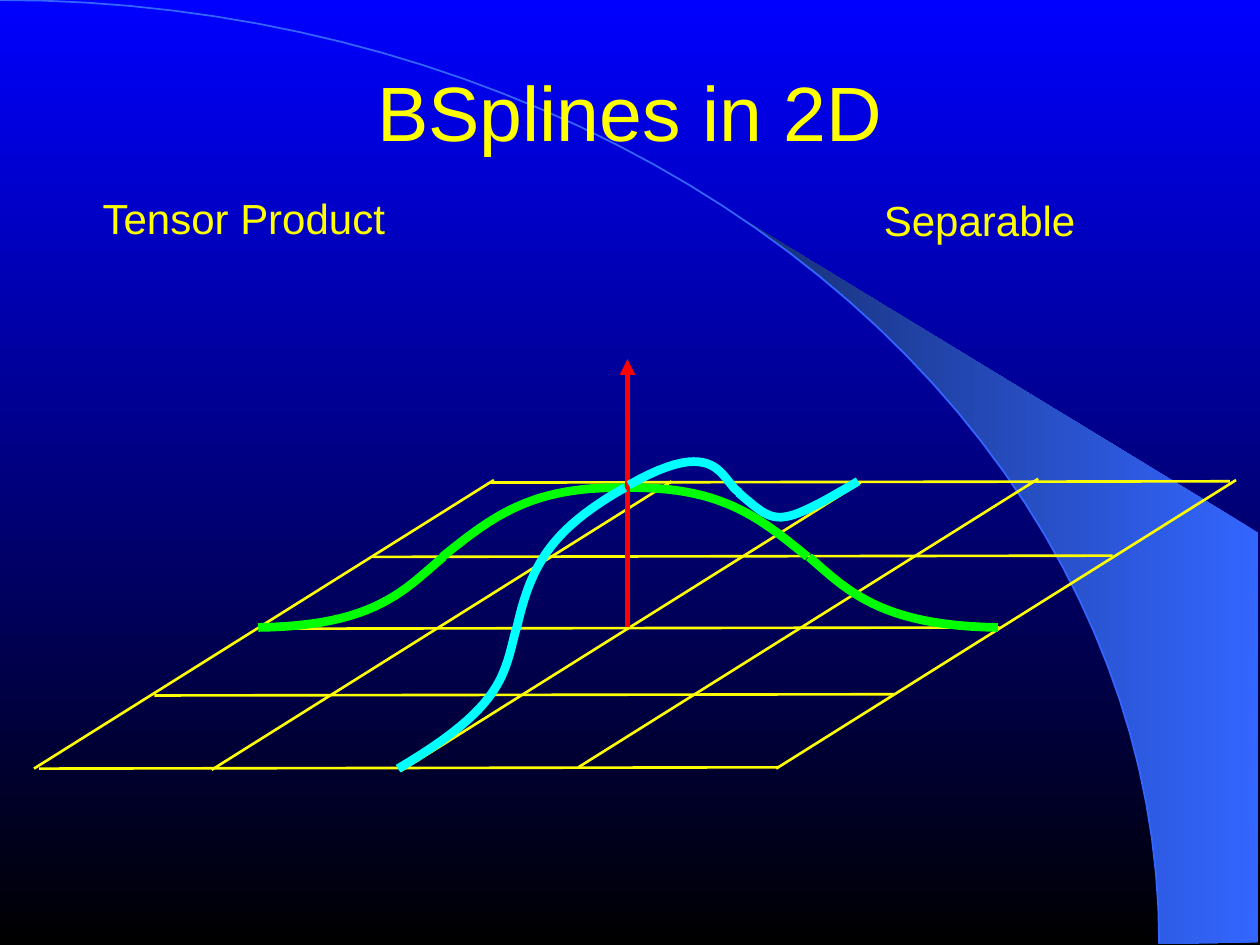
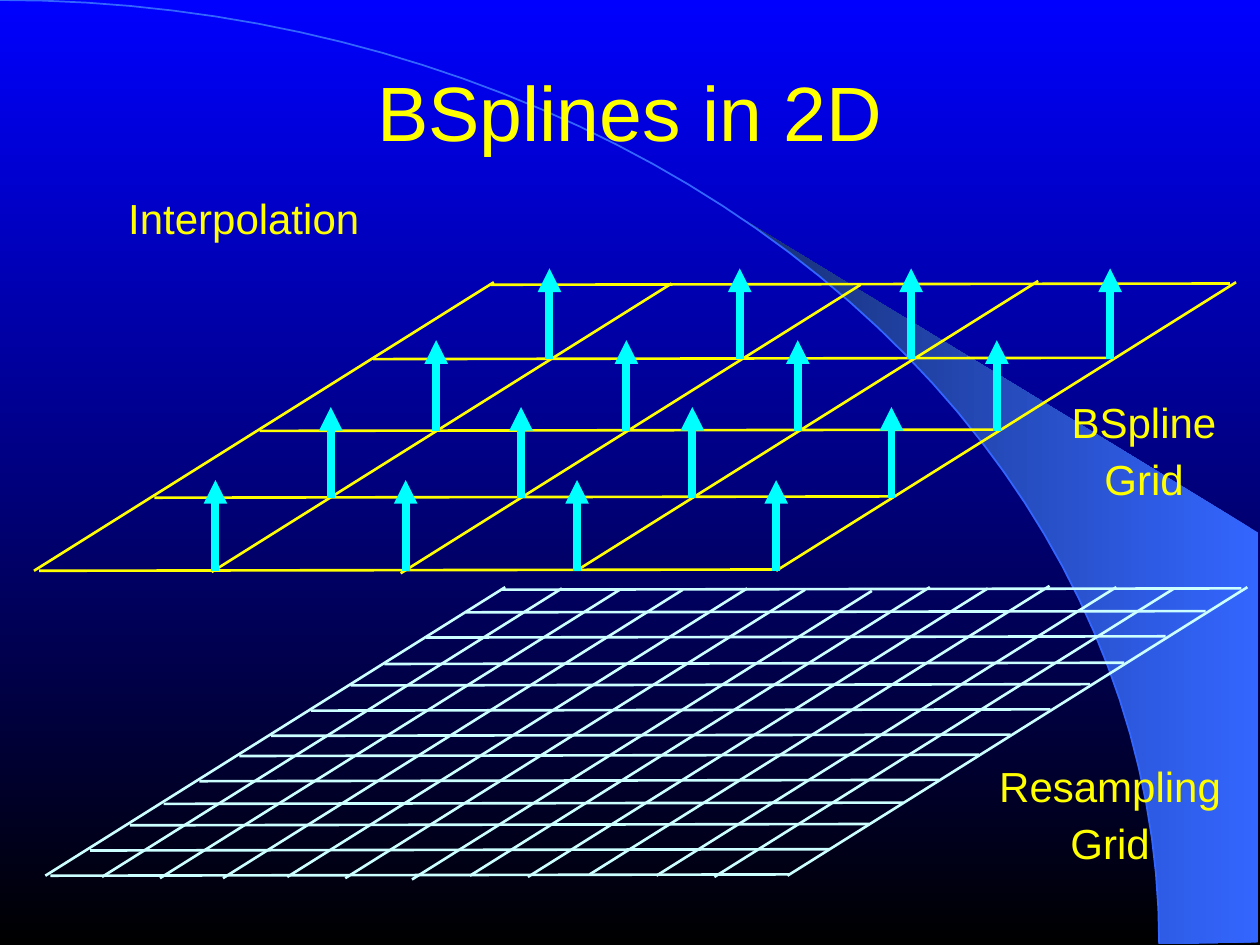
from math import asin, cos, pi, sin

from lxml import etree
from pptx import Presentation
from pptx.dml.color import RGBColor
from pptx.enum import shapes, text
from pptx.oxml import ns
from pptx.util import Inches, Pt

FONT = "Arial"
YELLOW, CYAN, GREEN, RED = "FFFF00", "00FFFF", "00FF00", "FF0000"
PALE, SKY, NAVY = "CCFFFF", "3366FF", "172F75"

ARC_WIDTH, ARC_HEIGHT = 9.2, 7.49
GRID_WIDTH, GRID_DEPTH, GRID_RISE = 5.87, 3.65, 2.29
SLANT = GRID_DEPTH / GRID_RISE * 0.99

SPLINE_ROWS = [0, 0.58, 1.11, 1.68, 2.27]
SPLINE_COLUMNS = [(0, 0), (1.41, 0.01), (2.91, 0.02), (4.32, -0.01), (5.89, 0)]
RESAMPLING_ROWS = [0, 0.2, 0.4, 0.57, 0.75, 0.95, 1.11, 1.31, 1.51, 1.68,
                   1.89, 2.09, 2.27]
RESAMPLING_COLUMNS = [(0, 0), (0.45, 0.01), (0.91, 0.02), (1.41, 0.02),
                      (1.92, 0.01), (2.38, 0.02), (2.91, 0.03), (3.37, 0),
                      (3.83, 0.01), (4.32, -0.01), (4.85, 0), (5.31, 0.01),
                      (5.89, 0)]
COEFFICIENT_COLUMNS = [1.71, 3.22, 4.58, 6.16]
COEFFICIENT_HEIGHT = 0.72

ACROSS_SPLINE = [
    [(3.52, 4.42), (3.22, 4.67), (2.99, 4.97), (2.05, 4.98)],
    [(3.51, 4.42), (3.92, 4.09), (4.22, 3.86), (4.96, 3.87)],
    [(6.42, 4.42), (6.71, 4.67), (6.98, 4.97), (7.92, 4.98)],
    [(6.41, 4.42), (6.01, 4.09), (5.71, 3.86), (4.97, 3.87)],
]
DEPTH_SPLINE = [
    [(4.1, 4.98), (4, 5.35), (4.01, 5.6), (3.16, 6.1)],
    [(4.1, 4.99), (4.21, 4.5), (4.36, 4.21), (4.96, 3.87)],
    [(5.86, 3.91), (6.16, 4.16), (6.15, 4.21), (6.81, 3.82)],
    [(5.87, 3.91), (5.72, 3.82), (5.71, 3.44), (4.99, 3.85)],
]


def rgb(value):
    return RGBColor.from_string(value)


def set_gradient(fill, first, last, angle):
    fill.gradient()
    fill.gradient_angle = angle
    for stop, color in zip(fill.gradient_stops, (first, last)):
        stop.color.rgb = rgb(color)


def add_outline(parent, points, closed=False):
    (x, y), *rest = [(Inches(px), Inches(py)) for px, py in points]
    builder = parent.build_freeform(x, y)
    builder.add_line_segments(rest, close=closed)
    outline = builder.convert_to_shape()
    outline.shadow.inherit = False
    return outline


def add_curve(parent, points, color, width):
    curve = add_outline(parent, points)
    curve.fill.background()
    curve.line.color.rgb = rgb(color)
    curve.line.width = Pt(width)


def add_line(parent, start, end, color, width, arrow=False):
    line = parent.add_connector(shapes.MSO_CONNECTOR.STRAIGHT,
                                *map(Inches, (*start, *end)))
    line.line.color.rgb = rgb(color)
    line.line.width = Pt(width)
    properties = line.element.spPr
    if arrow:
        outline = properties.find(ns.qn("a:ln"))
        etree.SubElement(outline, ns.qn("a:headEnd"), type="triangle")
    etree.SubElement(properties, ns.qn("a:effectLst"))


def arc_points(start, end, steps):
    angles = [start + (end - start) * i / steps for i in range(steps + 1)]
    return [(ARC_WIDTH * sin(a), ARC_HEIGHT * (1 - cos(a))) for a in angles]


def bezier_points(controls, steps=24):
    points = []
    for i in range(steps + 1):
        t = i / steps
        weights = ((1 - t) ** 3, 3 * t * (1 - t) ** 2, 3 * t * t * (1 - t), t ** 3)
        points.append(tuple(sum(w * c for w, c in zip(weights, axis))
                            for axis in zip(*controls)))
    return points


def add_spline(slide, pieces, color):
    group = slide.shapes.add_group_shape().shapes
    for controls in pieces:
        add_curve(group, bezier_points(controls), color, 5)


def add_grid(slide, left, bottom, rows, columns, color):
    group = slide.shapes.add_group_shape().shapes
    for offset, dip in columns:
        x, y = left + offset, bottom + dip
        add_line(group, (x, y), (x + GRID_DEPTH, y - GRID_RISE), color, 1.5)
    for rise in rows:
        x, y = left + 0.04 + SLANT * rise, bottom - rise
        add_line(group, (x, y), (x + GRID_WIDTH, y - 0.01), color, 1.5)


def add_coefficients(slide, bottom):
    for rise in reversed(SPLINE_ROWS[:-1]):
        for column in COEFFICIENT_COLUMNS:
            x, y = column + SLANT * rise, bottom - rise
            add_line(slide.shapes, (x, y - COEFFICIENT_HEIGHT), (x, y),
                     CYAN, 4.5, arrow=True)


def format_paragraph(paragraph, size):
    paragraph.alignment = text.PP_ALIGN.CENTER
    paragraph.font.name = FONT
    paragraph.font.size = Pt(size)
    paragraph.font.color.rgb = rgb(YELLOW)


def add_label(slide, lines, left, top, width, height, spacing):
    label = slide.shapes.add_textbox(*map(Inches, (left, top, width, height)))
    frame = label.text_frame
    frame.word_wrap = True
    frame.text = "\n".join(lines)
    for i, paragraph in enumerate(frame.paragraphs):
        format_paragraph(paragraph, 24)
        paragraph.line_spacing = spacing
        if i:
            paragraph.space_before = Pt(15)


def add_horizon(slide):
    beam_start = asin(5.89 / ARC_WIDTH)
    corner = [(9.99, 7.48), (9.99, 4.23)]
    beam = add_outline(slide.shapes,
                       corner + arc_points(beam_start, pi / 2, 30), closed=True)
    set_gradient(beam.fill, SKY, NAVY, 180)
    beam.line.fill.background()
    add_curve(slide.shapes, arc_points(0, pi / 2, 42), SKY, 1)


def add_spline_slide(deck, heading):
    slide = deck.slides.add_slide(deck.slide_layouts[5])
    add_horizon(slide)
    title = slide.shapes.title
    slide.shapes.element.append(title.element)
    title.left, title.top, title.width, title.height = map(
        Inches, (0.75, 0.12, 8.5, 1.51))
    frame = title.text_frame
    frame.text = heading
    frame.vertical_anchor = text.MSO_ANCHOR.MIDDLE
    frame.margin_left = frame.margin_right = 0
    frame.margin_top = frame.margin_bottom = 0
    format_paragraph(frame.paragraphs[0], 44)
    return slide


def add_tensor_product(deck):
    slide = add_spline_slide(deck, "BSplines in 2D")
    add_label(slide, ["Tensor Product"], 0.57, 1.56, 2.73, 0.42, 0.8)
    add_grid(slide, 0.27, 6.1, SPLINE_ROWS, SPLINE_COLUMNS, YELLOW)
    add_spline(slide, ACROSS_SPLINE, GREEN)
    add_line(slide.shapes, (4.98, 2.85), (4.98, 4.98), RED, 3, arrow=True)
    add_spline(slide, DEPTH_SPLINE, CYAN)
    add_label(slide, ["Separable"], 6.41, 1.57, 2.73, 0.42, 0.8)


def add_interpolation(deck):
    slide = add_spline_slide(deck, "BSplines in 2D")
    add_label(slide, ["Interpolation"], 0.57, 1.56, 2.73, 0.42, 0.8)
    add_grid(slide, 0.27, 4.53, SPLINE_ROWS, SPLINE_COLUMNS, YELLOW)
    add_coefficients(slide, 4.53)
    add_grid(slide, 0.36, 6.95, RESAMPLING_ROWS, RESAMPLING_COLUMNS, PALE)
    add_label(slide, ["BSpline", "Grid"], 8.31, 3.24, 1.54, 0.79, 0.6)
    add_label(slide, ["Resampling", "Grid"], 7.82, 6.13, 1.98, 0.79, 0.6)


def main():
    deck = Presentation()
    deck.slide_width, deck.slide_height = Inches(10), Inches(7.5)
    set_gradient(deck.slide_master.background.fill, "0000FF", "000000", 270)
    add_tensor_product(deck)
    add_interpolation(deck)
    deck.save("out.pptx")


if __name__ == "__main__":
    main()
